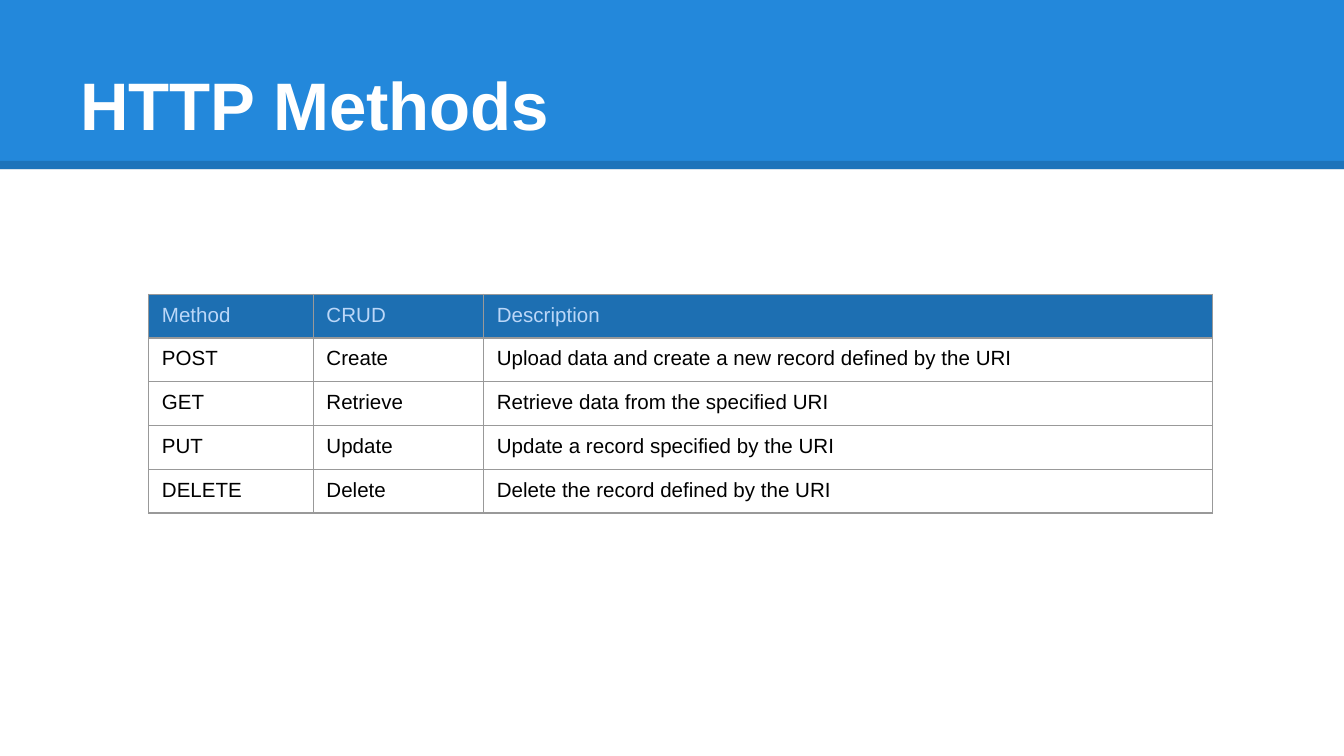
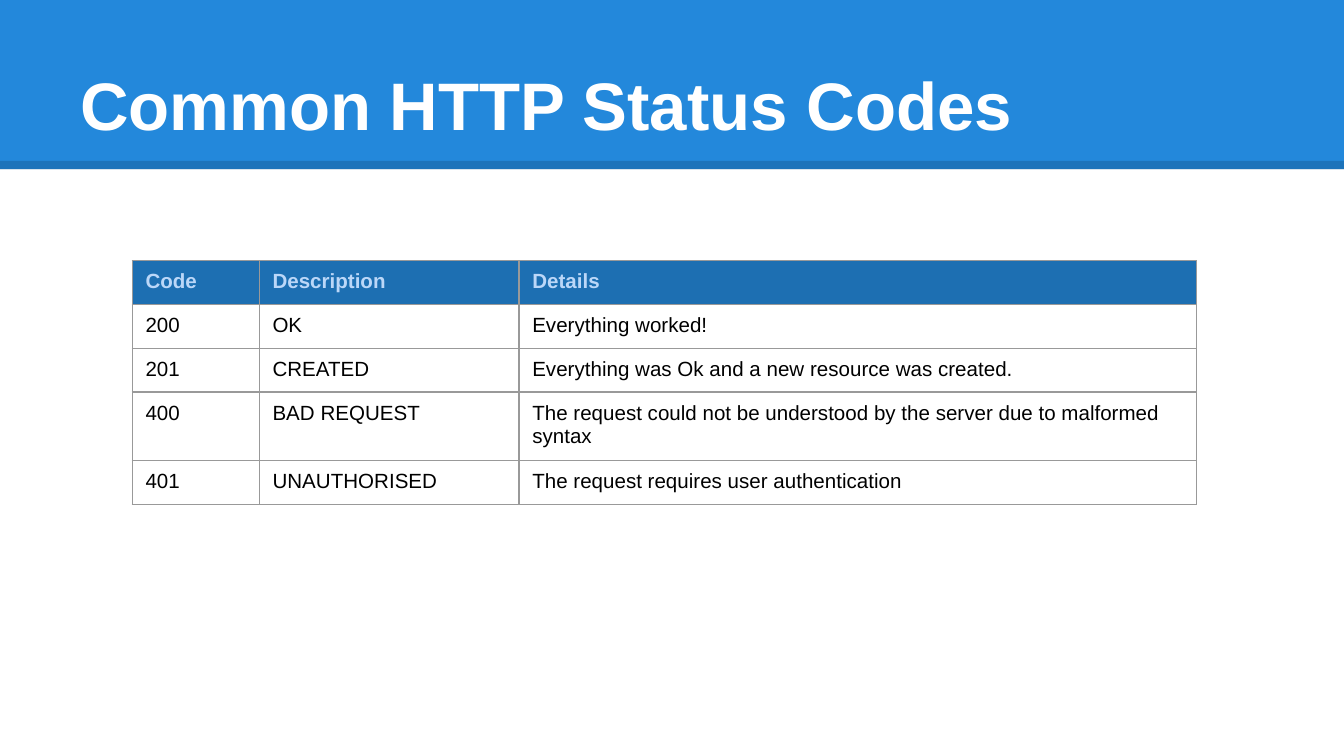
from lxml.etree import SubElement
from pptx import Presentation
from pptx.dml.color import RGBColor
from pptx.enum.shapes import MSO_CONNECTOR, MSO_SHAPE
from pptx.enum.text import MSO_ANCHOR
from pptx.oxml import parse_xml
from pptx.oxml.ns import nsdecls, qn
from pptx.util import Cm, Pt

BAND_BLUE = RGBColor(0x23, 0x88, 0xDB)
HEADER_BLUE = RGBColor(0x1D, 0x6F, 0xB2)
HEADER_TEXT = RGBColor(0xBB, 0xD7, 0xF8)
BORDER_GREY = RGBColor(0x99, 0x99, 0x99)
WHITE = RGBColor(0xFF, 0xFF, 0xFF)
BLACK = RGBColor(0x00, 0x00, 0x00)
FONT = "Arial"

ROW_HEIGHT = 0.8
INSET_X, INSET_Y = 0.25, 0.18

# Title, table corner, column widths, bold header, rows (header first); cm
SLIDES = [
    ("HTTP Methods", (2.81, 5.56), (3.11, 3.22, 13.78), False, [
        ("Method", "CRUD", "Description"),
        ("POST", "Create",
         "Upload data and create a new record defined by the URI"),
        ("GET", "Retrieve", "Retrieve data from the specified URI"),
        ("PUT", "Update", "Update a record specified by the URI"),
        ("DELETE", "Delete", "Delete the record defined by the URI"),
    ]),
    ("Common HTTP Status Codes", (2.5, 4.93), (2.4, 4.91, 12.8), True, [
        ("Code", "Description", "Details"),
        ("200", "OK", "Everything worked!"),
        ("201", "CREATED",
         "Everything was Ok and a new resource was created."),
        ("400", "BAD REQUEST",
         "The request could not be understood by the server"
         " due to malformed syntax"),
        ("401", "UNAUTHORISED", "The request requires user authentication"),
    ]),
]


def add_run(paragraph, text, size, color, bold):
    run = paragraph.add_run()
    run.text = text
    run.font.name = FONT
    run.font.size = Pt(size)
    run.font.bold = bold
    run.font.color.rgb = color


def add_borders(cell):
    properties = cell._tc.get_or_add_tcPr()
    for side in ("lnL", "lnR", "lnT", "lnB"):
        properties.append(parse_xml(
            f'<a:{side} {nsdecls("a")} w="{Pt(0.75)}"><a:solidFill>'
            f'<a:srgbClr val="{BORDER_GREY}"/></a:solidFill></a:{side}>'))


prs = Presentation()
prs.slide_width = Cm(25.4)
prs.slide_height = Cm(14.29)

for heading, (left, top), widths, header_bold, rows in SLIDES:
    slide = prs.slides.add_slide(prs.slide_layouts[6])

    # Blue band with a darker edge
    band = slide.shapes.add_shape(
        MSO_SHAPE.RECTANGLE, 0, 0, prs.slide_width, Cm(3.2))
    band.shadow.inherit = False
    band.fill.solid()
    band.fill.fore_color.rgb = BAND_BLUE
    band.line.fill.background()

    edge = slide.shapes.add_connector(
        MSO_CONNECTOR.STRAIGHT, 0, Cm(3.12), prs.slide_width, Cm(3.12))
    edge.line.width = Pt(4.5)
    edge.line.color.rgb = BLACK
    edge_color = edge._element.spPr.find(".//" + qn("a:srgbClr"))
    SubElement(edge_color, qn("a:alpha"), val="15000")
    SubElement(edge._element.spPr, qn("a:effectLst"))

    # Title
    title = slide.shapes.add_textbox(
        Cm(1.27), Cm(0.58), Cm(22.86), Cm(2.39)).text_frame
    title.word_wrap = True
    title.vertical_anchor = MSO_ANCHOR.BOTTOM
    title.margin_left = title.margin_right = Cm(INSET_X)
    title.margin_top = title.margin_bottom = Cm(INSET_X)
    add_run(title.paragraphs[0], heading, 36, WHITE, True)

    # Table
    table = slide.shapes.add_table(
        len(rows), len(widths), Cm(left), Cm(top),
        Cm(sum(widths)), Cm(ROW_HEIGHT * len(rows))).table
    table.horz_banding = False
    for column, width in zip(table.columns, widths):
        column.width = Cm(width)
    for r, entries in enumerate(rows):
        table.rows[r].height = Cm(ROW_HEIGHT)
        for c, entry in enumerate(entries):
            cell = table.cell(r, c)
            cell.margin_left = cell.margin_right = Cm(INSET_X)
            cell.margin_top = cell.margin_bottom = Cm(INSET_Y)
            add_borders(cell)
            paragraph = cell.text_frame.paragraphs[0]
            if r == 0:
                cell.fill.solid()
                cell.fill.fore_color.rgb = HEADER_BLUE
                add_run(paragraph, entry, 11, HEADER_TEXT, header_bold)
            else:
                cell.fill.background()
                add_run(paragraph, entry, 11, BLACK, False)

prs.save("out.pptx")
